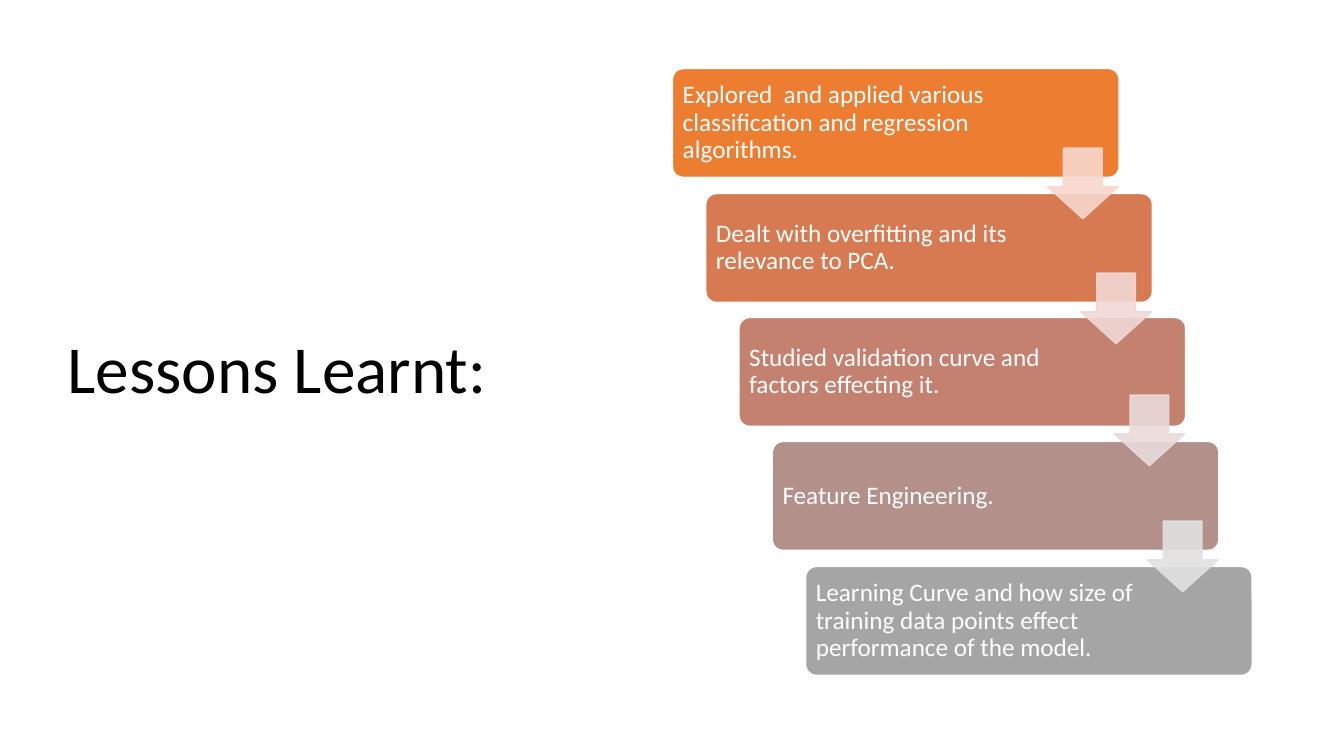
from lxml import etree
from pptx import Presentation
from pptx.dml.color import RGBColor
from pptx.enum.shapes import MSO_SHAPE
from pptx.enum.text import MSO_ANCHOR, MSO_AUTO_SIZE, PP_ALIGN
from pptx.oxml.ns import qn
from pptx.util import Emu, Pt

ROUND = MSO_SHAPE.ROUNDED_RECTANGLE
ARROW = MSO_SHAPE.DOWN_ARROW
MIDDLE = MSO_ANCHOR.MIDDLE
LEFT = PP_ALIGN.LEFT
NO_FIT = MSO_AUTO_SIZE.NONE

SCALE = 9144
FONT = "Calibri"
COLORS = {
    "ink": "000000",
    "paper": "FFFFFF",
    "step1": "ED7D31",
    "step2": "D87A51",
    "step3": "C48170",
    "step4": "B4908B",
    "step5": "A5A5A5",
    "arrow1": "F8D7CE",
    "arrow2": "F1D8D4",
    "arrow3": "E9DBDA",
    "arrow4": "E1E1E1",
}

LESSONS = [
    ("Explored  and applied various classification and regression algorithms.", 131),
    ("Dealt with overfitting and its relevance to PCA.", 111),
    ("Studied validation curve and factors effecting it.", 111),
    ("Feature Engineering.", 111),
    ("Learning Curve and how size of training data points effect "
     "performance of the model.", 111),
]
DROPS = [147, 271, 392, 517]
STEP_X, STEP_Y, STEP_W, STEP_H = 667, 68, 443, 108
LAST_Y = 562
SHIFT = 33
ARROW_X, ARROW_SIZE = 1039, 70


def px(n):
    return Emu(n * SCALE)


def color(name):
    return RGBColor.from_string(COLORS[name])


def write(frame, text, size, ink):
    frame.text = text
    frame.word_wrap = True
    frame.auto_size = NO_FIT
    frame.vertical_anchor = MIDDLE
    para = frame.paragraphs[0]
    para.alignment = LEFT
    para.line_spacing = 0.9
    font = para.runs[0].font
    font.name = FONT
    font.size = Pt(size)
    font.color.rgb = color(ink)


def add_title(slide, text):
    title = slide.shapes.title
    title.left, title.top = px(57), px(68)
    title.width, title.height = px(567), px(602)
    write(title.text_frame, text, 48, "ink")


def add_block(slide, kind, box, adjusts, fill, line):
    block = slide.shapes.add_shape(kind, *map(px, box))
    block.shadow.inherit = False
    for i, value in enumerate(adjusts):
        block.adjustments[i] = value
    block.fill.solid()
    block.fill.fore_color.rgb = color(fill)
    block.line.color.rgb = color(line)
    block.line.width = Pt(1)
    return block


def add_step(slide, i, text, inset):
    top = STEP_Y + round(i * (LAST_Y - STEP_Y) / (len(LESSONS) - 1))
    box = (STEP_X + i * SHIFT, top, STEP_W, STEP_H)
    step = add_block(slide, ROUND, box, [0.1], f"step{i + 1}", "paper")
    frame = step.text_frame
    frame.margin_left = frame.margin_top = frame.margin_bottom = px(7)
    frame.margin_right = px(inset)
    write(frame, text, 18, "paper")


def add_arrow(slide, i, top):
    box = (ARROW_X + i * SHIFT, top, ARROW_SIZE, ARROW_SIZE)
    name = f"arrow{i + 1}"
    arrow = add_block(slide, ARROW, box, [0.55, 0.45], name, name)
    for tint in arrow.element.spPr.iter(qn("a:srgbClr")):
        etree.SubElement(tint, qn("a:alpha")).set("val", "90000")


def main():
    deck = Presentation()
    deck.slide_width, deck.slide_height = px(1333), px(750)
    slide = deck.slides.add_slide(deck.slide_layouts[5])
    add_title(slide, "Lessons Learnt:")
    for i, (text, inset) in enumerate(LESSONS):
        add_step(slide, i, text, inset)
    for i, top in enumerate(DROPS):
        add_arrow(slide, i, top)
    deck.save("out.pptx")


if __name__ == "__main__":
    main()
